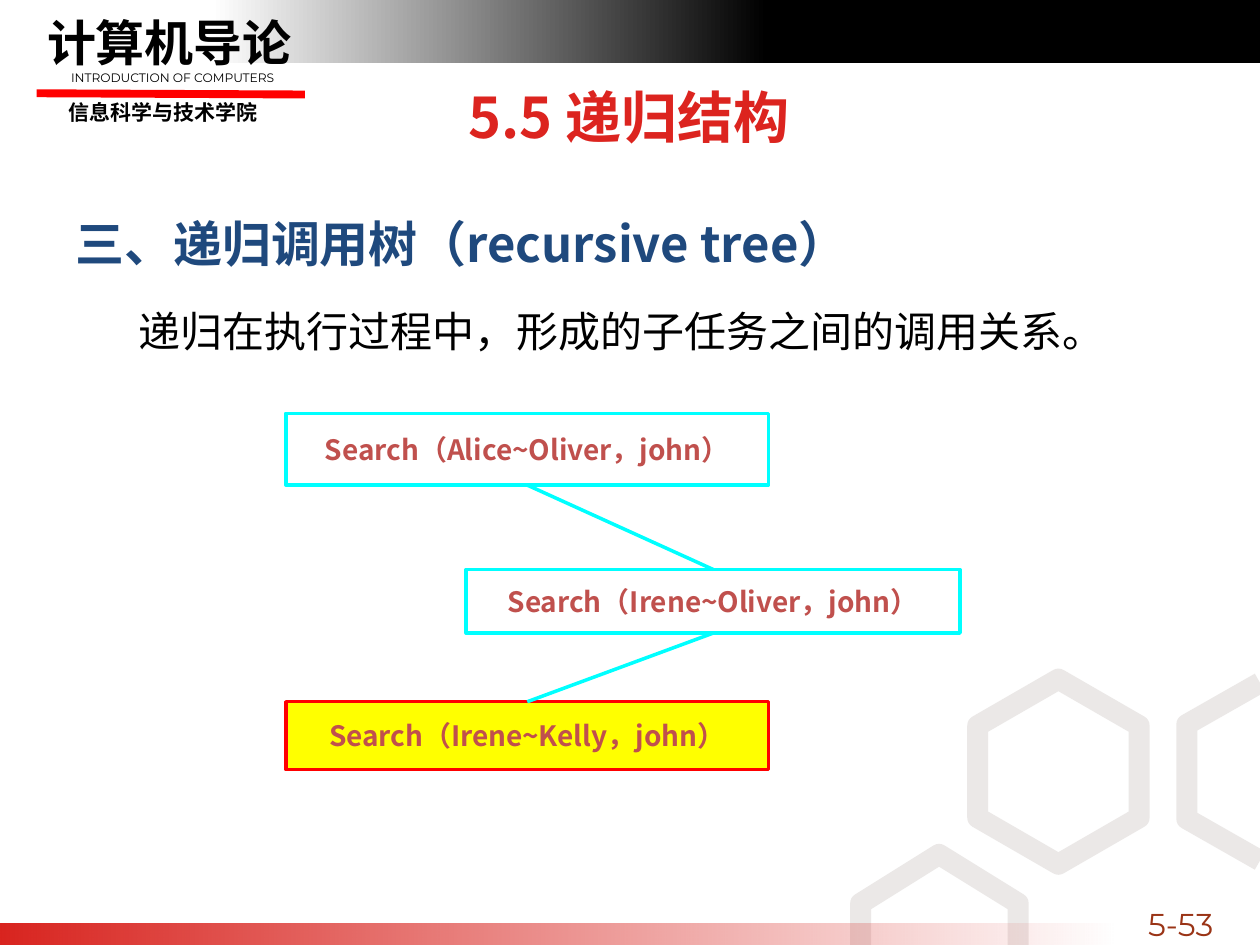
"""Build the slide on the recursive call tree."""
from lxml import etree
from pptx import Presentation
from pptx.dml.color import RGBColor
from pptx.enum.shapes import MSO_CONNECTOR, MSO_SHAPE
from pptx.enum.text import MSO_ANCHOR, PP_ALIGN
from pptx.oxml.ns import qn
from pptx.util import Pt

RECT, STRAIGHT = MSO_SHAPE.RECTANGLE, MSO_CONNECTOR.STRAIGHT
TOP, MIDDLE = MSO_ANCHOR.TOP, MSO_ANCHOR.MIDDLE
LEFT, CENTER = PP_ALIGN.LEFT, PP_ALIGN.CENTER
CJK, LATIN = "Noto Sans CJK SC", "Montserrat"
BLACK = RGBColor(0x00, 0x00, 0x00)
WHITE = RGBColor(0xFF, 0xFF, 0xFF)
RED = RGBColor(0xFF, 0x00, 0x00)
YELLOW = RGBColor(0xFF, 0xFF, 0x00)
CYAN = RGBColor(0x00, 0xFF, 0xFF)
BRAND_RED = RGBColor(0xD9, 0x24, 0x1F)
TITLE_RED = RGBColor(0xDC, 0x24, 0x1F)
NAVY = RGBColor(0x1F, 0x49, 0x7D)
BRICK = RGBColor(0xC0, 0x50, 0x4D)
RUST = RGBColor(0x9A, 0x34, 0x16)
TAUPE = RGBColor(0xBD, 0xB6, 0xB0)

TITLE = ("5.5 递归结构", (36, 43.2, 647.3, 46.8),
         dict(name=CJK, size=Pt(32), bold=True, color=TITLE_RED))
LABELS = [
    ("信息科学与技术学院", (7.9, 53.3, 170.6, 22.3), TOP,
     dict(name=CJK, size=Pt(12), bold=True, color=BLACK)),
    ("计算机导论", (11.5, 3.6, 170.6, 41.8), TOP,
     dict(name=CJK, size=Pt(28), bold=True, color=BLACK)),
    ("INTRODUCTION OF COMPUTERS", (20.9, 36.7, 155.5, 15.8), TOP,
     dict(name=LATIN, size=Pt(7), bold=False, color=BLACK)),
    ("5-53", (632.2, 513.4, 85, 28.8), MIDDLE,
     dict(name=LATIN, size=Pt(18), bold=False, color=RUST)),
]
BODY_BOX = (36, 101.5, 667.4, 380.9)
BODY = [
    ("三、递归调用树（recursive tree）", 36, -36, 0,
     dict(name=CJK, size=Pt(28), bold=True, color=NAVY)),
    ("递归在执行过程中，形成的子任务之间的调用关系。", 35.3, 0.7, 4.8,
     dict(name=CJK, size=Pt(24), bold=False, color=BLACK)),
]
CALLS = [
    ("Search（Alice~Oliver，john）", (163.4, 236.2, 275.8, 41), None, CYAN),
    ("Search（Irene~Oliver，john）", (266.4, 325.4, 282.2, 36.4), None, CYAN),
    ("Search（Irene~Kelly，john）", (163.4, 401, 275.8, 38.9), YELLOW, RED),
]
CALL_FONT = dict(name=CJK, size=Pt(16), bold=True, color=BRICK)
HEXAGONS = [
    ([(558.7, 414.7), (604.8, 388.1), (650.9, 414.7),
      (650.9, 467.3), (604.8, 493.9), (558.7, 467.3)], True),
    ([(491.8, 540), (491.8, 516.2), (536.6, 488.2), (581.8, 516.2), (581.8, 540)], False),
    ([(720, 390.2), (678.2, 414), (678.2, 468), (720, 491.8)], False),
]


def pts(values):
    return [Pt(v) for v in values]


def set_alpha(color_element, percent):
    etree.SubElement(color_element, qn("a:alpha")).set("val", str(percent * 1000))


def write(p, text, fmt, align=CENTER):
    p.alignment = align
    r = p.add_run()
    r.text = text
    for key, value in fmt.items():
        if key == "color":
            r.font.color.rgb = value
        else:
            setattr(r.font, key, value)
    etree.SubElement(r.font._element, qn("a:ea")).set("typeface", fmt["name"])


def add_text_box(s, box, anchor=TOP):
    tf = s.shapes.add_textbox(*pts(box)).text_frame
    tf.word_wrap = True
    tf.vertical_anchor = anchor
    return tf


def add_rect(s, box, fill=None, line=None):
    sp = s.shapes.add_shape(RECT, *pts(box))
    sp.shadow.inherit = False
    if fill is None:
        sp.fill.background()
    else:
        sp.fill.solid()
        sp.fill.fore_color.rgb = fill
    if line is None:
        sp.line.fill.background()
    else:
        sp.line.color.rgb = line
        sp.line.width = Pt(2)
    return sp


def add_gradient(s, box, start, end):
    sp = add_rect(s, box)
    sp.fill.gradient()
    sp.fill.gradient_angle = 0
    for stop, color in zip(sp.fill.gradient_stops, (start, end)):
        stop.color.rgb = color
    return sp


def add_line(s, ends, color, width):
    line = s.shapes.add_connector(STRAIGHT, *pts(ends))
    line.line.color.rgb = color
    line.line.width = Pt(width)
    etree.SubElement(line._element.spPr, qn("a:effectLst"))
    return line


def add_hexagon(s, points, closed):
    points = [pts(point) for point in points]
    builder = s.shapes.build_freeform(*points[0])
    builder.add_line_segments(points[1:], close=closed)
    sp = builder.convert_to_shape()
    sp.shadow.inherit = False
    sp.fill.background()
    sp.line.color.rgb = TAUPE
    sp.line.width = Pt(12)
    ln = sp._element.spPr.find(qn("a:ln"))
    set_alpha(ln.find(".//" + qn("a:srgbClr")), 30)
    etree.SubElement(ln, qn("a:round"))


def add_frame(s):
    add_rect(s, (397.4, 0, 322.6, 36), BLACK)
    add_gradient(s, (121, -0.5, 317.5, 36.7), WHITE, BLACK)
    for text, box, anchor, fmt in LABELS:
        write(add_text_box(s, box, anchor).paragraphs[0], text, fmt)
    add_line(s, (20.9, 53.3, 174.2, 54), RED, 4.5)
    for points, closed in HEXAGONS:
        add_hexagon(s, points, closed)
    footer = add_gradient(s, (-0.5, 527.8, 638.6, 12.2), BRAND_RED, BRAND_RED)
    set_alpha(footer._element.spPr.findall(".//" + qn("a:srgbClr"))[-1], 0)


def add_title(s):
    text, box, fmt = TITLE
    sp = s.shapes.title
    sp.left, sp.top, sp.width, sp.height = pts(box)
    sp.text_frame.vertical_anchor = MIDDLE
    write(sp.text_frame.paragraphs[0], text, fmt)


def add_body(s):
    tf = add_text_box(s, BODY_BOX)
    for i, (text, margin, indent, before, fmt) in enumerate(BODY):
        p = tf.add_paragraph() if i else tf.paragraphs[0]
        write(p, text, fmt, LEFT)
        p.line_spacing = 1.5
        p.space_before = Pt(before)
        pPr = p._p.get_or_add_pPr()
        pPr.set("marL", str(Pt(margin)))
        pPr.set("indent", str(Pt(indent)))


def add_call_tree(s):
    nodes = []
    for text, box, fill, line in CALLS:
        sp = add_rect(s, box, fill, line)
        sp.text_frame.vertical_anchor = MIDDLE
        write(sp.text_frame.paragraphs[0], text, CALL_FONT)
        nodes.append(sp)
    for caller, callee in zip(nodes, nodes[1:]):
        link = add_line(s, (0, 0, 0, 0), CYAN, 2)
        link.begin_connect(caller, 2)
        link.end_connect(callee, 0)


def main():
    prs = Presentation()
    prs.slide_width, prs.slide_height = Pt(720), Pt(540)
    s = prs.slides.add_slide(prs.slide_layouts[5])
    add_frame(s)
    add_title(s)
    add_body(s)
    add_call_tree(s)
    prs.save("out.pptx")


if __name__ == "__main__":
    main()
